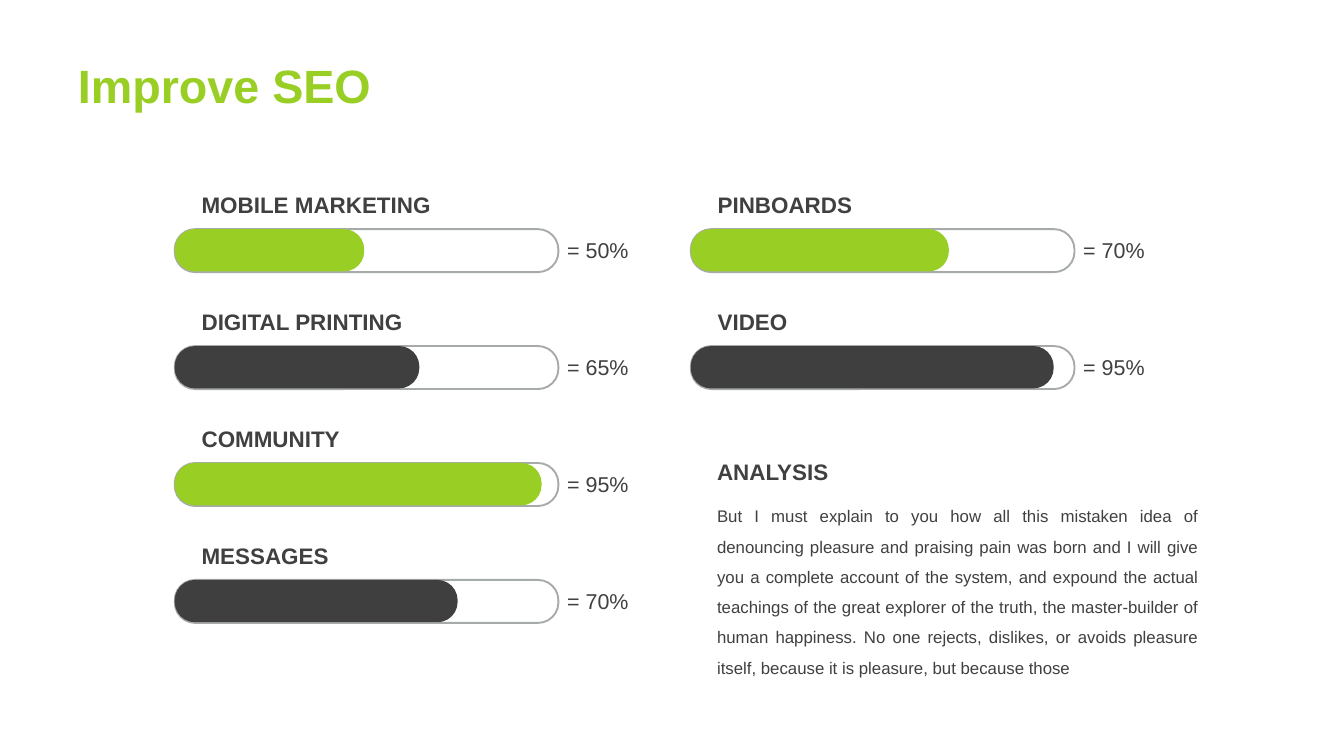
from dataclasses import dataclass

from lxml import etree
from pptx import Presentation
from pptx.dml.color import RGBColor
from pptx.enum.shapes import MSO_SHAPE
from pptx.enum.text import MSO_ANCHOR, MSO_AUTO_SIZE, PP_ALIGN
from pptx.oxml.ns import qn
from pptx.shapes.autoshape import Shape
from pptx.slide import Slide
from pptx.text.text import TextFrame
from pptx.util import Inches, Pt

ROUNDED = MSO_SHAPE.ROUNDED_RECTANGLE
TOP, MIDDLE = MSO_ANCHOR.TOP, MSO_ANCHOR.MIDDLE
LEFT, JUSTIFY = PP_ALIGN.LEFT, PP_ALIGN.JUSTIFY
NO_AUTOFIT = MSO_AUTO_SIZE.NONE


@dataclass(frozen=True)
class Theme:
    font: str = "Arial"
    green: str = "99CE24"
    dark: str = "3F3F3F"
    text: str = "404040"
    outline: str = "A6AAA9"
    title: int = 50
    heading: int = 24
    percent: int = 23
    body: int = 18


@dataclass(frozen=True)
class Bar:
    label: str
    percent: int
    fill_width: float
    col: int
    row: int


THEME = Theme()
BAR_LEFT, BAR_TOP, BAR_WIDTH = 2.6, 3.41, 5.71
COL_PITCH, ROW_PITCH = 7.68, 1.74

BARS = [
    Bar("MOBILE MARKETING", 50, 2.82, 0, 0),
    Bar("DIGITAL PRINTING", 65, 3.64, 0, 1),
    Bar("COMMUNITY", 95, 5.46, 0, 2),
    Bar("MESSAGES", 70, 4.21, 0, 3),
    Bar("PINBOARDS", 70, 3.84, 1, 0),
    Bar("VIDEO", 95, 5.4, 1, 1),
]

ANALYSIS = (
    "But I must explain to you how all this mistaken idea of denouncing pleasure "
    "and praising pain was born and I will give you a complete account of the system, "
    "and expound the actual teachings of the great explorer of the truth, the "
    "master-builder of human happiness. No one rejects, dislikes, or avoids pleasure "
    "itself, because it is pleasure, but because those"
)


def place(sp: Shape, left: float, top: float, width: float, height: float) -> None:
    sp.left, sp.top = Inches(left), Inches(top)
    sp.width, sp.height = Inches(width), Inches(height)


def write(tf: TextFrame, text: str, size: int, color: str = THEME.text,
          bold: bool = False, align: PP_ALIGN = LEFT, anchor: MSO_ANCHOR = TOP,
          inset: float = 0.04, line_spacing: float = 1.0, before: int = 0) -> None:
    tf.word_wrap = True
    tf.auto_size = NO_AUTOFIT
    tf.vertical_anchor = anchor
    tf.margin_left = tf.margin_right = Inches(inset)
    tf.margin_top = tf.margin_bottom = Inches(min(inset, 0.06))
    p = tf.paragraphs[0]
    p.alignment = align
    p.line_spacing = line_spacing
    p.space_before = Pt(before)
    r = p.add_run()
    r.text = text
    r.font.name = THEME.font
    r.font.size = Pt(size)
    r.font.bold = bold
    r.font.color.rgb = RGBColor.from_string(color)


def add_text(s: Slide, left: float, top: float, width: float, height: float) -> TextFrame:
    return s.shapes.add_textbox(
        Inches(left), Inches(top), Inches(width), Inches(height)).text_frame


def add_pill(s: Slide, left: float, top: float, width: float, height: float,
             corner: float) -> Shape:
    sp = s.shapes.add_shape(
        ROUNDED, Inches(left), Inches(top), Inches(width), Inches(height))
    sp.adjustments[0] = corner
    sp.shadow.inherit = False
    return sp


def add_bar(s: Slide, bar: Bar) -> None:
    left = BAR_LEFT + bar.col * COL_PITCH
    top = BAR_TOP + bar.row * ROW_PITCH
    track = add_pill(s, left, top, BAR_WIDTH, 0.64, 0.475)
    track.fill.background()
    track.line.color.rgb = RGBColor.from_string(THEME.outline)
    track.line.width = Pt(2)

    level = add_pill(s, left, top, bar.fill_width, 0.63, 0.478)
    level.fill.solid()
    color = THEME.dark if bar.row % 2 else THEME.green
    level.fill.fore_color.rgb = RGBColor.from_string(color)
    level.line.fill.background()

    write(add_text(s, left + 5.8, top + 0.08, 1.06, 0.48),
          f"= {bar.percent}%", THEME.percent)
    write(add_text(s, left + 0.34, top - 0.6, 4.03, 0.48),
          bar.label, THEME.heading, bold=True, anchor=MIDDLE, inset=0.06)


def add_analysis(s: Slide) -> None:
    write(add_text(s, 10.63, 6.65, 4.71, 0.66), "ANALYSIS", THEME.heading,
          bold=True, anchor=MIDDLE, line_spacing=1.2)
    body = s.placeholders[1]
    place(body, 10.63, 7.34, 7.24, 3.2)
    write(body.text_frame, ANALYSIS, THEME.body, align=JUSTIFY,
          line_spacing=1.5, before=25)
    pPr = body.text_frame.paragraphs[0]._p.get_or_add_pPr()
    pPr.set("marL", "0")
    pPr.set("indent", "0")
    etree.SubElement(pPr, qn("a:buNone"))


def main() -> None:
    prs = Presentation()
    prs.slide_width, prs.slide_height = Inches(20), Inches(11.25)
    s = prs.slides.add_slide(prs.slide_layouts[1])
    title = s.shapes.title
    place(title, 1.06, 0.79, 11.17, 0.94)
    write(title.text_frame, "Improve SEO", THEME.title, THEME.green,
          bold=True, align=JUSTIFY, inset=0.1)
    for bar in BARS:
        add_bar(s, bar)
    add_analysis(s)
    prs.save("out.pptx")


if __name__ == "__main__":
    main()
